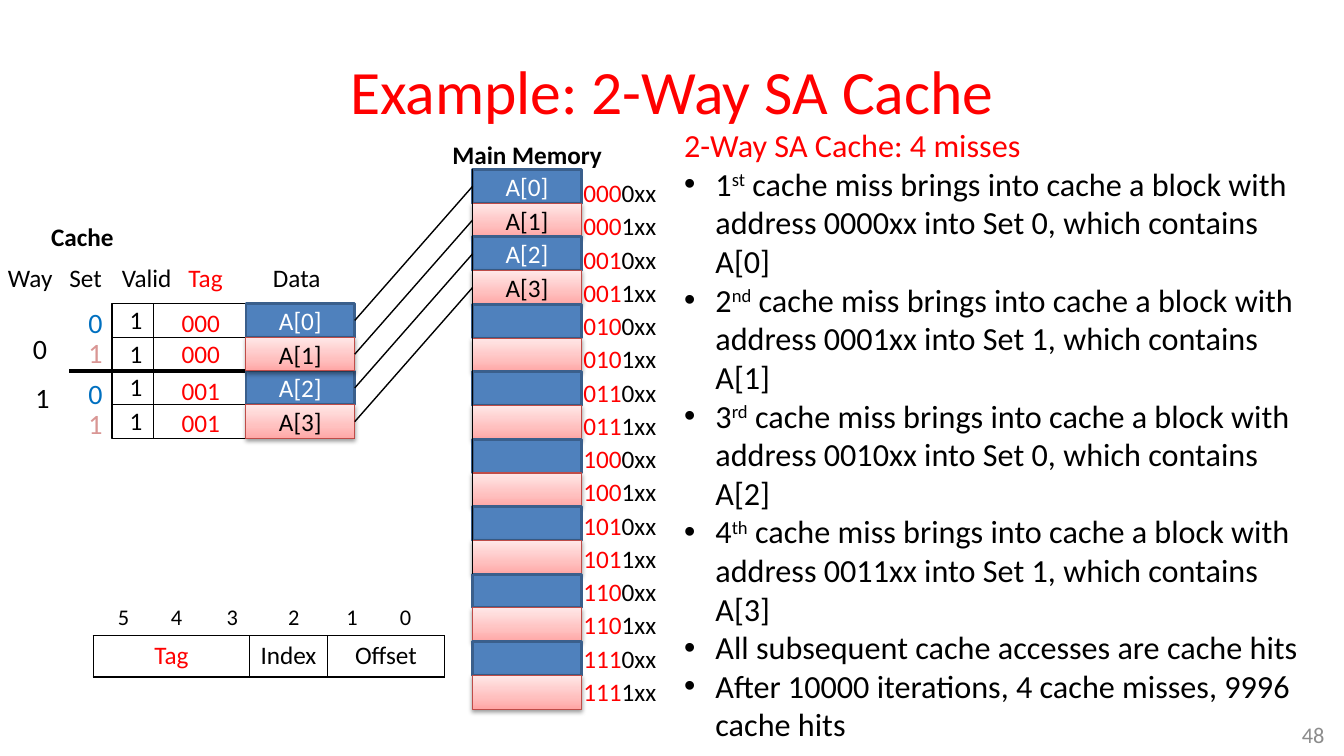
"""Build the slide on a 2-way set-associative cache example."""
import pptx
import pptx.dml.color
import pptx.enum.shapes
import pptx.enum.text
import pptx.oxml
import pptx.oxml.ns
import pptx.util

Cm = pptx.util.Cm
Pt = pptx.util.Pt
ALIGN = pptx.enum.text.PP_ALIGN
ANCHOR = pptx.enum.text.MSO_ANCHOR
NS = pptx.oxml.ns.nsdecls("a")

BLACK, RED, WHITE, GREY = "000000", "FF0000", "FFFFFF", "8C8C8C"
BLUE, BLUE_EDGE, PINK_EDGE = "4F81BD", "3A5F8C", "BF4C48"
SET_COLORS = ["0070C0", "D99694"]
PINK_STOPS = [(0, "FFA6A5"), (35, "FFC0BF"), (100, "FFE7E7")]

TITLE = "Example: 2-Way SA Cache"
SUMMARY = "2-Way SA Cache: 4 misses"
MISSES = [("1", "st", "0000xx", 0, "A[0]"), ("2", "nd", "0001xx", 1, "A[1]"),
          ("3", "rd", "0010xx", 0, "A[2]"), ("4", "th", "0011xx", 1, "A[3]")]
RESULTS = ["All subsequent cache accesses are cache hits",
           "After 10000 iterations, 4 cache misses, 9996 cache hits"]
BLOCKS = ["A[0]", "A[1]", "A[2]", "A[3]"]
CACHE_ROWS = [("000", 7.63, 7.58), ("000", 8.41, 8.33),
              ("001", 9.34, 9.37), ("001", 10.15, 10.12)]
WAYS = [("0", 0.58, 8.23), ("1", 0.64, 9.47)]
HEADINGS = [("Cache", 1.04, 5.44, 2.11, BLACK, True),
            ("Main Memory", 11.15, 3.38, 4.32, BLACK, True),
            ("Way", -0.05, 6.48, 1.65, BLACK, False),
            ("Set", 1.5, 6.48, 1.35, BLACK, False),
            ("Valid", 2.82, 6.48, 1.78, BLACK, False),
            ("Tag", 4.5, 6.48, 1.37, RED, False),
            ("Data", 6.63, 6.48, 1.73, BLACK, False)]
ADDRESS_BITS = [("5", 2.72), ("4", 4.06), ("3", 5.46), ("2", 7.01), ("1", 8.48), ("0", 9.83)]
FIELDS = [("Tag", 3.94, RED), ("Index", 1.96, BLACK), ("Offset", 2.95, BLACK)]
PAGE = "48"

ROW, BLOCK_WIDTH = 0.85, 2.74
MEMORY_LEFT, MEMORY_TOP, MEMORY_ROWS = 11.91, 4.27, 16
CACHE_TOP = 7.65
VALID_LEFT, TAG_LEFT, DATA_LEFT = 2.82, 3.87, 6.2
DATA_RIGHT = DATA_LEFT + BLOCK_WIDTH

deck = pptx.Presentation()
deck.slide_width, deck.slide_height = Cm(33.87), Cm(19.05)
slide = deck.slides.add_slide(deck.slide_layouts[6])


def rgb(value):
    return pptx.dml.color.RGBColor.from_string(value)


def style(run, size, color, bold=False):
    run.font.name, run.font.size, run.font.bold = "Calibri", Pt(size), bold
    run.font.color.rgb = rgb(color)


def write(frame, text, size, color, align=ALIGN.LEFT, bold=False):
    frame.text = text
    frame.paragraphs[0].alignment = align
    style(frame.paragraphs[0].runs[0], size, color, bold)


def text_frame(left, top, width, height, wrap=False, anchor=ANCHOR.TOP):
    frame = slide.shapes.add_textbox(Cm(left), Cm(top), Cm(width), Cm(height)).text_frame
    frame.word_wrap, frame.vertical_anchor = wrap, anchor
    return frame


def line(x1, y1, x2, y2, weight=1):
    connector = slide.shapes.add_connector(
        pptx.enum.shapes.MSO_CONNECTOR.STRAIGHT, Cm(x1), Cm(y1), Cm(x2), Cm(y2))
    connector.line.color.rgb, connector.line.width = rgb(BLACK), Pt(weight)
    connector._element.spPr.append(pptx.oxml.parse_xml(f"<a:effectLst {NS}/>"))


def rectangle(left, top, width, height, edge, weight):
    shape = slide.shapes.add_shape(pptx.enum.shapes.MSO_SHAPE.RECTANGLE,
                                   Cm(left), Cm(top), Cm(width), Cm(height))
    shape.fill.background()
    shape.line.color.rgb, shape.line.width = rgb(edge), Pt(weight)
    shape.shadow.inherit = False
    return shape


def block(left, top, index):
    odd = index % 2
    shape = rectangle(left, top, BLOCK_WIDTH, ROW, PINK_EDGE if odd else BLUE_EDGE,
                      0.75 if odd else 2)
    if odd:
        properties = shape._element.spPr
        stops = "".join(f'<a:gs pos="{at * 1000}"><a:srgbClr val="{color}"/></a:gs>'
                        for at, color in PINK_STOPS)
        properties.replace(properties.find(pptx.oxml.ns.qn("a:noFill")), pptx.oxml.parse_xml(
            f'<a:gradFill {NS} rotWithShape="1"><a:gsLst>{stops}</a:gsLst>'
            '<a:lin ang="16200000" scaled="0"/></a:gradFill>'))
        properties.find(pptx.oxml.ns.qn("a:effectLst")).append(pptx.oxml.parse_xml(
            f'<a:outerShdw {NS} blurRad="40000" dist="20000" dir="5400000" rotWithShape="0">'
            '<a:srgbClr val="000000"><a:alpha val="38000"/></a:srgbClr></a:outerShdw>'))
    else:
        shape.fill.solid()
        shape.fill.fore_color.rgb = rgb(BLUE)
    if index < len(BLOCKS):
        shape.text_frame.word_wrap = False
        shape.text_frame.vertical_anchor = ANCHOR.MIDDLE
        write(shape.text_frame, BLOCKS[index], 18, BLACK if odd else WHITE, ALIGN.CENTER)


def draw_explanation():
    frame = text_frame(16.99, 3.04, 16.3, 15.98, wrap=True)
    write(frame, SUMMARY, 23, RED)
    items = [(number, suffix, f" cache miss brings into cache a block with address {address} "
              f"into Set {index}, which contains {name}")
             for number, suffix, address, index, name in MISSES]
    for parts in items + [(result,) for result in RESULTS]:
        paragraph = frame.add_paragraph()
        settings = paragraph._p.get_or_add_pPr()
        settings.set("marL", str(Cm(0.79)))
        settings.set("indent", str(-Cm(0.79)))
        settings.append(pptx.oxml.parse_xml(f'<a:buFont {NS} typeface="Arial"/>'))
        settings.append(pptx.oxml.parse_xml(f'<a:buChar {NS} char="•"/>'))
        for position, part in enumerate(parts):
            run = paragraph.add_run()
            run.text = part
            style(run, 23, BLACK)
            if position == 1:
                run._r.get_or_add_rPr().set("baseline", "30000")


def draw_memory():
    for index in range(MEMORY_ROWS):
        block(MEMORY_LEFT, MEMORY_TOP + index * ROW, index)
    line(MEMORY_LEFT, MEMORY_TOP, MEMORY_LEFT, MEMORY_TOP + 12 * ROW)
    frame = text_frame(14.45, MEMORY_TOP, 2.74, 13.79, wrap=True)
    for index in range(MEMORY_ROWS):
        paragraph = frame.add_paragraph() if index else frame.paragraphs[0]
        paragraph.line_spacing = 1.1
        bits = f"{index:04b}"
        for part, color in [(bits[:3], RED), (bits[3] + "xx", BLACK)]:
            run = paragraph.add_run()
            run.text = part
            style(run, 18, color)


def draw_cache():
    edges = [VALID_LEFT, TAG_LEFT, DATA_LEFT, DATA_RIGHT]
    for left, right in zip(edges, edges[1:]):
        rectangle(left, CACHE_TOP, right - left, 4 * ROW, BLACK, 1)
        for row in (1, 2, 3):
            line(left, CACHE_TOP + row * ROW, right, CACHE_TOP + row * ROW)
    line(1.75, CACHE_TOP + 2 * ROW, DATA_RIGHT, CACHE_TOP + 2 * ROW, 2.25)
    for way, left, top in WAYS:
        write(text_frame(left, top, 0.86, 1.12), way, 20, BLACK)
    for index in (0, 2, 1, 3):
        tag, tag_top, set_top = CACHE_ROWS[index]
        block(DATA_LEFT, CACHE_TOP + index * ROW, index)
        middle = (index + 0.5) * ROW
        line(MEMORY_LEFT, MEMORY_TOP + middle, DATA_RIGHT, CACHE_TOP + middle)
        write(text_frame(3.02, 7.54 + index * ROW, 0.84, 1.02), "1", 18, BLACK)
        write(text_frame(4.33, tag_top, 1.5, 1.02), tag, 18, RED)
        write(text_frame(1.98, set_top, 0.86, 1.12), str(index % 2), 20, SET_COLORS[index % 2])


def draw_address_fields():
    for bit, left in ADDRESS_BITS:
        write(text_frame(left, 15.08, 0.78, 0.94), bit, 16, BLACK)
    total = sum(width for _, width, _ in FIELDS)
    table = slide.shapes.add_table(1, len(FIELDS), Cm(2.35), Cm(16.02), Cm(total), Cm(1.04)).table
    table.first_row = table.horz_banding = False
    for column, (name, width, color) in enumerate(FIELDS):
        table.columns[column].width = Cm(width)
        cell = table.cell(0, column)
        write(cell.text_frame, name, 18, color, ALIGN.CENTER)
        for side in "LRTB":
            cell._tc.get_or_add_tcPr().append(pptx.oxml.parse_xml(
                f'<a:ln{side} {NS} w="12700"><a:solidFill><a:srgbClr val="{BLACK}"/>'
                f'</a:solidFill></a:ln{side}>'))
        cell.fill.background()


def main():
    write(text_frame(1.04, 0.67, 31.8, 3.18, True, ANCHOR.MIDDLE), TITLE, 44, RED, ALIGN.CENTER)
    draw_explanation()
    for name, left, top, width, color, bold in HEADINGS:
        write(text_frame(left, top, width, 1.02), name, 18, color, bold=bold)
    draw_memory()
    draw_cache()
    draw_address_fields()
    write(text_frame(31.93, 17.98, 1.7, 1.07, True, ANCHOR.MIDDLE), PAGE, 16, GREY, ALIGN.RIGHT)
    deck.save("out.pptx")


if __name__ == "__main__":
    main()
